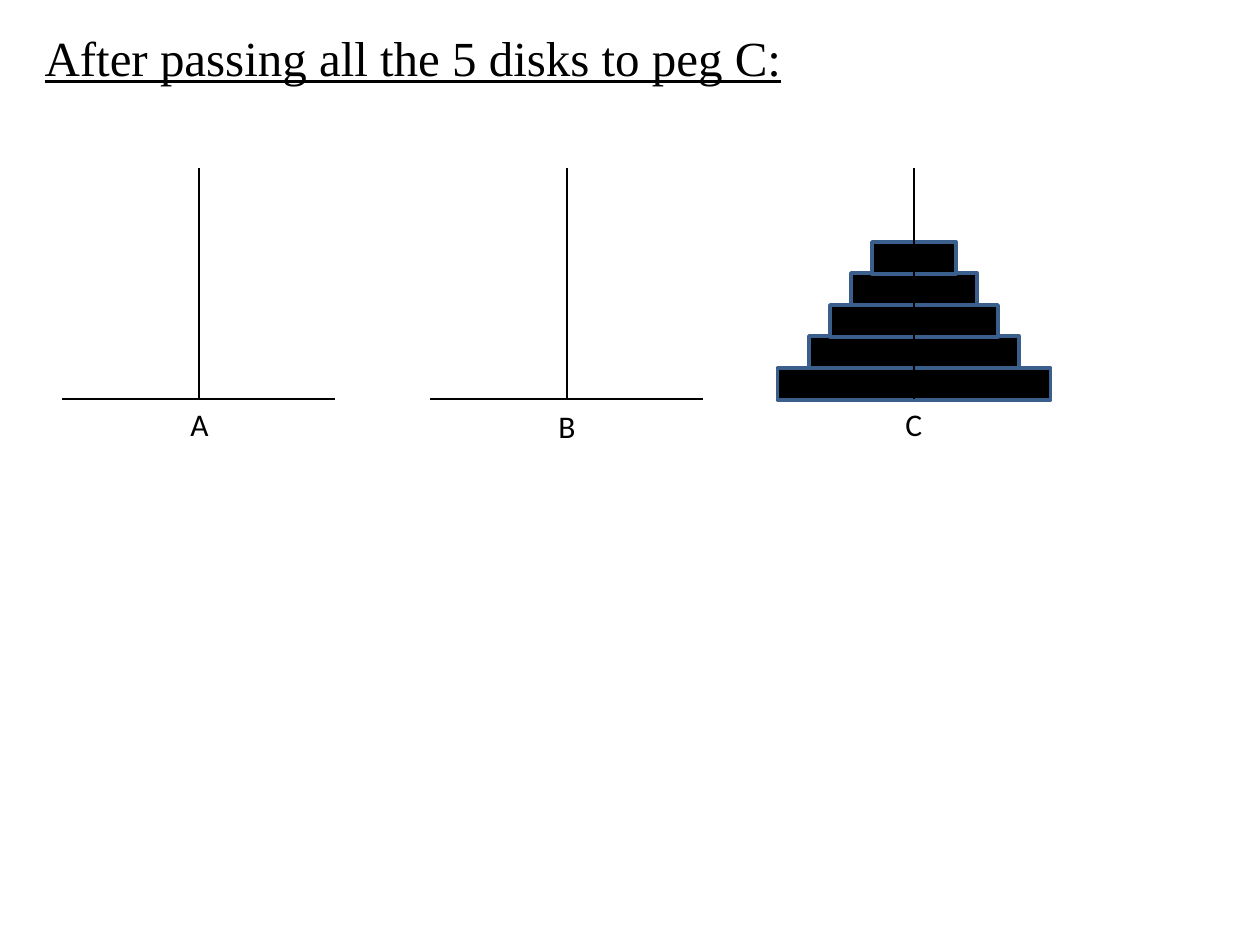
from lxml import etree
from pptx import Presentation
from pptx.dml.color import RGBColor
from pptx.enum.shapes import MSO_AUTO_SHAPE_TYPE, MSO_CONNECTOR_TYPE
from pptx.enum.text import MSO_AUTO_SIZE
from pptx.oxml.ns import qn
from pptx.util import Pt

BLACK = RGBColor(0x00, 0x00, 0x00)
BLUE = RGBColor(0x3A, 0x5F, 0x8C)
RECTANGLE = MSO_AUTO_SHAPE_TYPE.RECTANGLE
STRAIGHT = MSO_CONNECTOR_TYPE.STRAIGHT
FIT_SHAPE = MSO_AUTO_SIZE.SHAPE_TO_FIT_TEXT

EMU_PER_PIXEL = 914400 / 126
PEG_TOP, BASE_Y, BASE_WIDTH = 168, 399, 273
PEGS = {"A": 199, "B": 567, "C": 914}
LABEL_TOPS = {"A": 399, "B": 401, "C": 399}
DISK_WIDTHS = [273, 210, 168, 126, 84]
HEADING = {"name": "Times New Roman", "size": Pt(28), "underline": True}
LABEL = {"name": "Calibri", "size": Pt(18)}


def px(*values):
    return [round(v * EMU_PER_PIXEL) for v in values]


def write(tf, text, font):
    p = tf.paragraphs[0]
    r = p.add_run()
    r.text = text
    for key, value in font.items():
        setattr(r.font, key, value)
    r.font.color.rgb = BLACK
    return p


def add_heading(slide, text):
    sp = slide.placeholders[1]
    sp.left, sp.top, sp.width, sp.height = px(32, 21, 1207, 903)
    p = write(sp.text_frame, text, HEADING)
    etree.SubElement(p._p.get_or_add_pPr(), qn("a:buNone"))
    title = slide.shapes.title.element
    title.getparent().remove(title)


def add_line(slide, x1, y1, x2, y2):
    line = slide.shapes.add_connector(STRAIGHT, *px(x1, y1, x2, y2))
    line.line.color.rgb = BLACK
    line.line.width = Pt(0.75)
    etree.SubElement(line._element.spPr, qn("a:effectLst"))


def add_disk(slide, center, level, width):
    top = BASE_Y - 63 * (level + 1) // 2
    sp = slide.shapes.add_shape(RECTANGLE, *px(center - width / 2, top, width, 32))
    sp.shadow.inherit = False
    sp.fill.solid()
    sp.fill.fore_color.rgb = BLACK
    sp.line.color.rgb = BLUE
    sp.line.width = Pt(2)


def add_label(slide, text, center, top):
    sp = slide.shapes.add_textbox(*px(center - 21, top, 32, 50))
    tf = sp.text_frame
    tf.word_wrap = True
    tf.auto_size = FIT_SHAPE
    write(tf, text, LABEL)


def main():
    prs = Presentation()
    prs.slide_width, prs.slide_height = px(1260, 945)
    slide = prs.slides.add_slide(prs.slide_layouts[1])
    add_heading(slide, "After passing all the 5 disks to peg C:")
    for level, width in enumerate(DISK_WIDTHS):
        add_disk(slide, PEGS["C"], level, width)
    for name, x in PEGS.items():
        add_line(slide, x, BASE_Y, x, PEG_TOP)
        if name != "C":
            add_line(slide, x - BASE_WIDTH / 2, BASE_Y, x + BASE_WIDTH / 2, BASE_Y)
        add_label(slide, name, x, LABEL_TOPS[name])
    prs.save("out.pptx")


main()
